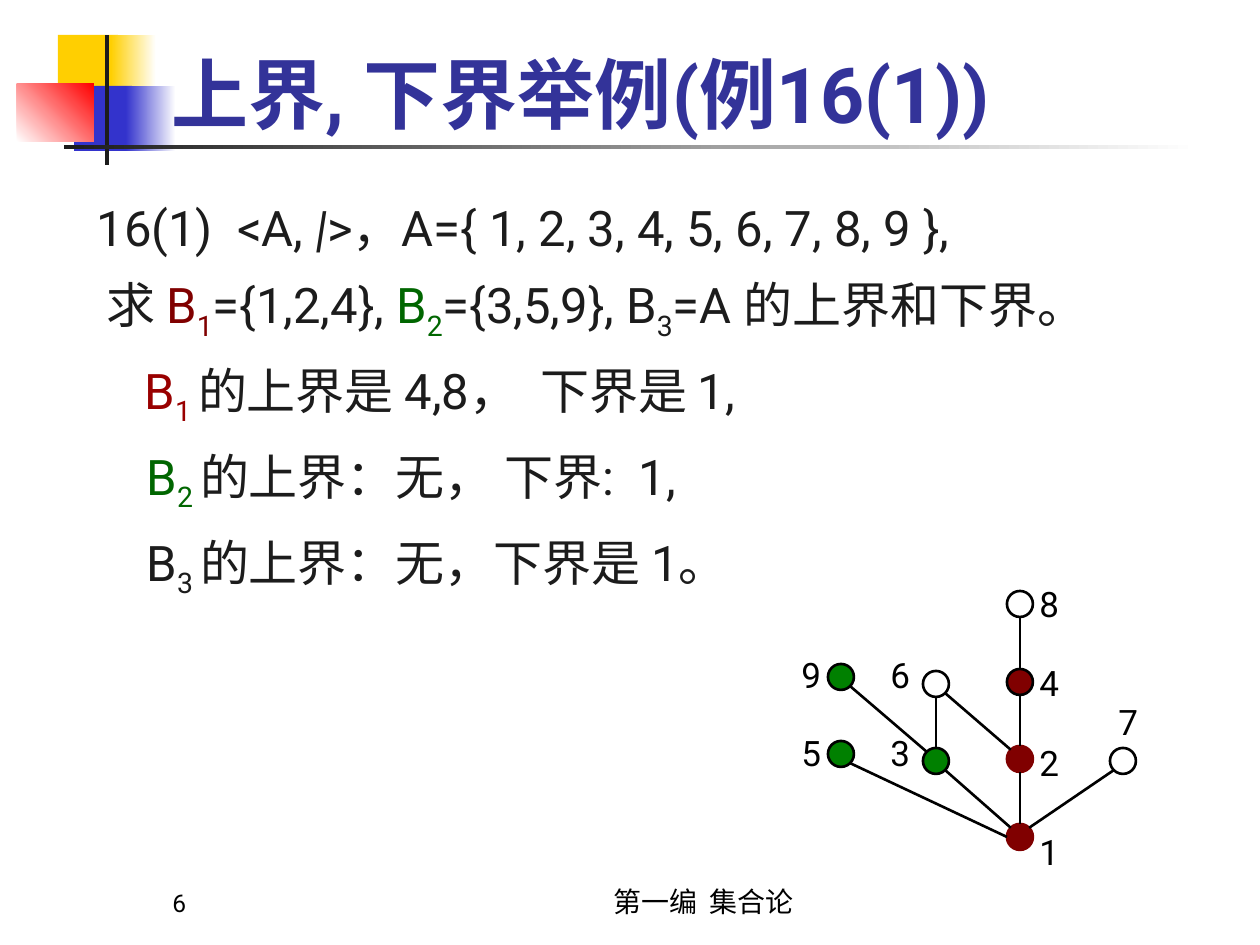
import math
from lxml import etree
from pptx import Presentation
from pptx.dml.color import RGBColor
from pptx.enum import shapes, text
from pptx.oxml import ns
from pptx.util import Pt

PIXEL = 914400 // 126
FONT = "Roboto"
BLACK = RGBColor(0, 0, 0)
WHITE = RGBColor(255, 255, 255)
INK = RGBColor(0x1C, 0x1C, 0x1C)
NAVY = RGBColor(0x33, 0x33, 0x99)
BLUE = RGBColor(0x33, 0x33, 0xCC)
YELLOW = RGBColor(0xFF, 0xCF, 0x01)
RED = RGBColor(0xFF, 0, 0)
MAROON = RGBColor(0x80, 0, 0)
CRIMSON = RGBColor(0x99, 0, 0)
GREEN = RGBColor(0, 0x80, 0)
DARK_GREEN = RGBColor(0, 0x66, 0)

BANDS = [
    (58, 35, 60, 66, [YELLOW], 0),
    (111, 35, 45, 66, [YELLOW, WHITE], 0),
    (74, 86, 58, 65, [BLUE], 0),
    (126, 86, 50, 65, [BLUE, WHITE], 0),
    (17, 84, 77, 58, [WHITE, RED], 45),
    (105, 35, 4, 130, [INK], 0),
    (64, 145, 1134, 4, [INK, WHITE], 0),
]

# Each line: left margin in pixels, then spans of (text, colour, style).
LINES = [
    (0, [("16(1)  <A, ", INK, ""), ("|", INK, "italic"),
         (">，A={ 1, 2, 3, 4, 5, 6, 7, 8, 9 },", INK, "")]),
    (10, [("求 ", INK, ""), ("B", MAROON, ""), ("1", MAROON, "sub"),
          ("={1,2,4}, ", INK, ""), ("B", DARK_GREEN, ""), ("2", DARK_GREEN, "sub"),
          ("={3,5,9}, B", INK, ""), ("3", INK, "sub"), ("=A 的上界和下界。", INK, "")]),
    (48, [("B", CRIMSON, ""), ("1 ", CRIMSON, "sub"),
          ("的上界是 4,8，  下界是 1,", INK, "")]),
    (50, [("B", DARK_GREEN, ""), ("2 ", DARK_GREEN, "sub"),
          ("的上界：无， 下界:  1,", INK, "")]),
    (50, [("B", INK, ""), ("3 ", INK, "sub"), ("的上界：无，下界是 1。", INK, "")]),
]

RADIUS = 13
NODES = {
    "8": (1020, 604, None, BLACK, 1027, 572),
    "4": (1020, 682, MAROON, BLACK, 1027, 651),
    "2": (1020, 759, MAROON, MAROON, 1027, 731),
    "1": (1020, 837, MAROON, MAROON, 1027, 820),
    "6": (936, 684, None, BLACK, 878, 643),
    "3": (936, 761, GREEN, BLACK, 878, 721),
    "9": (841, 677, GREEN, BLACK, 789, 643),
    "5": (841, 754, GREEN, BLACK, 789, 721),
    "7": (1123, 761, None, BLACK, 1106, 690),
}
EDGES = [
    ("7", 135, "1", 315), ("1", 270, "2", 90), ("2", 270, "4", 90),
    ("4", 270, "8", 90), ("2", 225, "6", 45), ("1", 225, "3", 45),
    ("3", 270, "6", 90), ("3", 225, "9", 45), ("1", 180, "5", 45),
]


def px(*lengths):
    """Turn pixel lengths into EMU."""
    return [round(length * PIXEL) for length in lengths]


def style_span(span, size, colour, bold=False, style=""):
    """Set the font of one span."""
    font = span.font
    font.name, font.size, font.bold = FONT, Pt(size), bold
    font.italic = style == "italic"
    font.color.rgb = colour
    if style == "sub":
        span._r.get_or_add_rPr().set("baseline", "-25000")


def add_band(page, left, top, width, height, colours, angle):
    """Add a borderless rectangle with a plain or gradient fill."""
    band = page.shapes.add_shape(
        shapes.MSO_SHAPE.RECTANGLE, *px(left, top, width, height))
    band.shadow.inherit = False
    band.line.fill.background()
    if len(colours) == 1:
        band.fill.solid()
        band.fill.fore_color.rgb = colours[0]
        return
    band.fill.gradient()
    band.fill.gradient_angle = angle
    for stop, colour in zip(band.fill.gradient_stops, colours):
        stop.color.rgb = colour


def add_label(page, words, frame, size, align=text.PP_ALIGN.LEFT,
              anchor=text.MSO_ANCHOR.TOP, spacing=1.0):
    """Add a one-line text box."""
    box = page.shapes.add_textbox(*px(*frame))
    box.text_frame.word_wrap = True
    box.text_frame.vertical_anchor = anchor
    box.text_frame.text = words
    para = box.text_frame.paragraphs[0]
    para.alignment, para.line_spacing = align, spacing
    style_span(para.runs[0], size, BLACK)


def place(box, frame, anchor):
    """Move a placeholder to a frame and bring it to the front."""
    box.left, box.top, box.width, box.height = px(*frame)
    box.text_frame.word_wrap = True
    box.text_frame.auto_size = text.MSO_AUTO_SIZE.NONE
    box.text_frame.vertical_anchor = anchor
    box.element.getparent().append(box.element)


def fill_title(box, words):
    """Write the bold title with its text shadow."""
    place(box, (159, 10, 1074, 135), text.MSO_ANCHOR.BOTTOM)
    box.text_frame.text = words
    para = box.text_frame.paragraphs[0]
    para.alignment = text.PP_ALIGN.LEFT
    span = para.runs[0]
    style_span(span, 44, NAVY, bold=True)
    effects = etree.Element(ns.qn("a:effectLst"))
    shadow = etree.SubElement(effects, ns.qn("a:outerShdw"),
                              dist="17961", dir="2700000")
    etree.SubElement(shadow, ns.qn("a:srgbClr"), val="000000")
    span._r.get_or_add_rPr().find(ns.qn("a:solidFill")).addnext(effects)


def fill_body(box, lines):
    """Write the lines of the body without bullets."""
    place(box, (84, 185, 1131, 575), text.MSO_ANCHOR.TOP)
    frame = box.text_frame
    for index, (margin, spans) in enumerate(lines):
        para = frame.add_paragraph() if index else frame.paragraphs[0]
        para.line_spacing, para.space_before = 1.1, Pt(7)
        properties = para._p.get_or_add_pPr()
        properties.set("marL", str(px(margin)[0]))
        properties.set("indent", "0")
        etree.SubElement(properties, ns.qn("a:buNone"))
        for words, colour, style in spans:
            span = para.add_run()
            span.text = words
            style_span(span, 28, colour, style=style)


def add_node(page, name, x, y, fill, line, label_left, label_top):
    """Add a numbered circle of the diagram."""
    circle = page.shapes.add_shape(
        shapes.MSO_SHAPE.OVAL, *px(x - RADIUS, y - RADIUS, 2 * RADIUS, 2 * RADIUS))
    circle.shadow.inherit = False
    circle.line.color.rgb, circle.line.width = line, Pt(1.5)
    if fill is None:
        circle.fill.background()
    else:
        circle.fill.solid()
        circle.fill.fore_color.rgb = fill
    add_label(page, name, (label_left, label_top, 59, 59), 20, spacing=1.1)


def rim(name, angle):
    """Return the point on a circle's rim at a clockwise angle."""
    x, y = NODES[name][:2]
    turn = math.radians(angle)
    return px(x + RADIUS * math.cos(turn), y + RADIUS * math.sin(turn))


def add_edge(page, start, start_angle, end, end_angle):
    """Join two circles with a line."""
    edge = page.shapes.add_connector(
        shapes.MSO_CONNECTOR.STRAIGHT, *rim(start, start_angle), *rim(end, end_angle))
    edge.line.color.rgb, edge.line.width = BLACK, Pt(1.5)
    etree.SubElement(edge.element.spPr, ns.qn("a:effectLst"))


def main():
    """Build and save the slide."""
    deck = Presentation()
    deck.slide_width, deck.slide_height = px(1260, 945)
    page = deck.slides.add_slide(deck.slide_layouts[1])
    for band in BANDS:
        add_band(page, *band)
    bottom = text.MSO_ANCHOR.BOTTOM
    add_label(page, "6", (160, 861, 262, 63), 14, anchor=bottom)
    add_label(page, "第一编  集合论", (504, 861, 399, 63), 16,
              text.PP_ALIGN.CENTER, bottom)
    fill_title(page.shapes.title, "上界, 下界举例(例16(1))")
    fill_body(page.placeholders[1], LINES)
    for name, node in NODES.items():
        add_node(page, name, *node)
    for edge in EDGES:
        add_edge(page, *edge)
    deck.save("out.pptx")


main()
